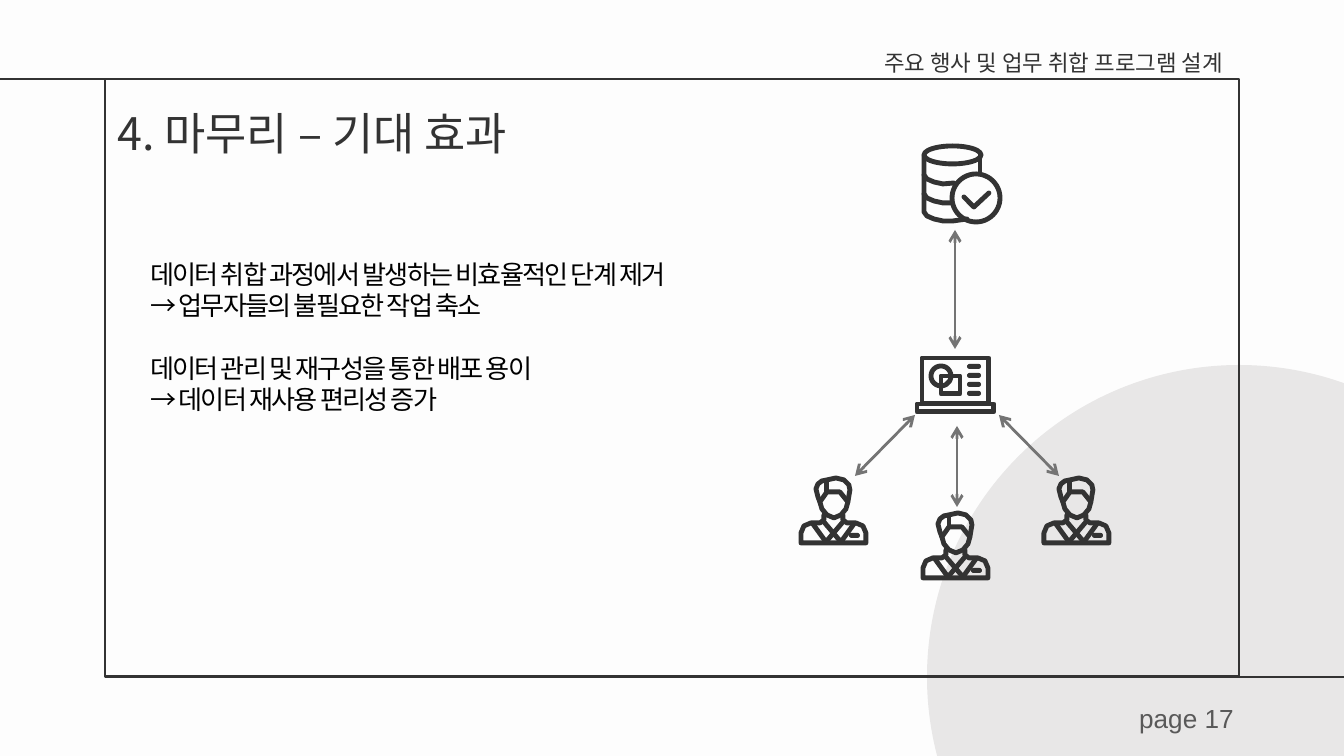
from pptx import Presentation
from pptx.dml.color import RGBColor
from pptx.enum.shapes import MSO_CONNECTOR, MSO_SHAPE
from pptx.oxml.ns import qn
from pptx.util import Pt
from lxml import etree

OVAL, RECT, PILL = MSO_SHAPE.OVAL, MSO_SHAPE.RECTANGLE, MSO_SHAPE.ROUNDED_RECTANGLE
STRAIGHT = MSO_CONNECTOR.STRAIGHT
SLIDE_W, SLIDE_H = 1344, 756
EMU = 9144000 / SLIDE_W  # EMU per px

THEME = {
    "background": RGBColor(0xFD, 0xFD, 0xFD),
    "disc": RGBColor(0xE8, 0xE7, 0xE7),
    "dark": RGBColor(0x33, 0x33, 0x33),
    "arrow": RGBColor(0x74, 0x74, 0x74),
    "body": RGBColor(0, 0, 0),
    "page": RGBColor(0x59, 0x59, 0x59),
    "korean": "Noto Sans CJK KR",
    "latin": "Arial",
    "title_size": 24,
    "body_size": 14,
    "header_size": 12,
    "thin": 1.5,
    "icon": 2.6,
}

prs = Presentation()
prs.slide_width, prs.slide_height = round(SLIDE_W * EMU), round(SLIDE_H * EMU)
slide = prs.slides.add_slide(prs.slide_layouts[6])
slide.background.fill.solid()
slide.background.fill.fore_color.rgb = THEME["background"]
shapes = slide.shapes


def add_text(lines, box, size, color, font=THEME["korean"], inset_y=13,
             line_spacing=None, tracking=0, wrap=True, gaps=()):
    frame = shapes.add_textbox(*[round(v * EMU) for v in box]).text_frame
    frame.word_wrap = wrap
    frame.margin_left = frame.margin_right = round(13.44 * EMU)
    frame.margin_top = frame.margin_bottom = round(inset_y * EMU)
    for i, line in enumerate(lines):
        paragraph = frame.paragraphs[0] if i == 0 else frame.add_paragraph()
        if line_spacing:
            paragraph.line_spacing = line_spacing
        if i in gaps:
            paragraph.space_before = Pt(size * 1.2)
        run = paragraph.add_run()
        run.text = line
        run.font.size = Pt(size)
        run.font.name = font
        run.font.color.rgb = color
        if tracking:
            run.font._element.set("spc", str(tracking * 100))


def stroke(shape, color=THEME["dark"], width=THEME["icon"], arrows=False):
    shape.line.color.rgb = color
    shape.line.width = Pt(width)
    props = shape._element.spPr
    line = props.find(qn("a:ln"))
    line.set("cap", "rnd")
    etree.SubElement(line, qn("a:round"))
    if arrows:
        for end in ("a:headEnd", "a:tailEnd"):
            etree.SubElement(line, qn(end)).set("type", "arrow")
    if hasattr(shape, "fill"):
        shape.fill.background()
    etree.SubElement(props, qn("a:effectLst"))


# Background disc
disc = shapes.add_shape(OVAL, *[round(v * EMU) for v in (927, 365, 624, 624)])
disc.fill.solid()
disc.fill.fore_color.rgb = THEME["disc"]
disc.line.fill.background()
disc.shadow.inherit = False

# Frame and its two extensions
frame_box = shapes.add_shape(RECT, *[round(v * EMU) for v in (105, 79, 1134, 598)])
stroke(frame_box, width=THEME["thin"])
for ends in ((1235, 677, 1379, 677), (106, 79, -11, 79)):
    stroke(shapes.add_connector(STRAIGHT, *[round(v * EMU) for v in ends]),
           width=THEME["thin"])

# Texts
add_text(["4. 마무리 – 기대 효과"], (104, 85, 622, 82), THEME["title_size"],
         THEME["dark"], line_spacing=1.15)
add_text(["데이터 취합 과정에서 발생하는 비효율적인 단계 제거",
          "→ 업무자들의 불필요한 작업 축소",
          "데이터 관리 및 재구성을 통한 배포 용이",
          "→ 데이터 재사용 편리성 증가"],
         (137, 251, 610, 172), THEME["body_size"], THEME["body"],
         inset_y=7, tracking=-1, gaps=(2,))
add_text(["page 17"], (1126, 695, 122, 46), THEME["body_size"], THEME["page"],
         font=THEME["latin"], inset_y=7, wrap=False)
add_text(["주요 행사 및 업무 취합 프로그램 설계"], (871, 32, 382, 43),
         THEME["header_size"], THEME["dark"], line_spacing=1.15)

# Icon outlines: person strokes are relative to the icon's corner
PERSON = [
    # neck, shoulders and chest
    [(26, 39), (26, 44), (22, 47), (13, 47), (6, 50), (3, 57), (3, 67),
     (68, 67), (68, 57), (65, 50), (58, 47), (49, 47), (45, 44), (45, 39)],
    # crossed collar
    [(26, 46), (43, 66), (56, 48)],
    [(45, 46), (28, 66), (15, 48)],
    # face
    [(22, 26), (29, 16), (42, 16), (50, 26), (48, 33), (43, 39), (36, 42),
     (29, 39), (24, 33), (22, 26)],
    # hair and parting
    [(22, 26), (20, 21), (18, 13), (20, 8), (24, 5), (29, 4), (38, 2), (46, 4),
     (51, 9), (52, 14), (50, 26)],
    [(29, 5), (29, 16)],
]
DATABASE = [
    [(980, 172), (980, 155)],
    [(924, 155), (924, 212), (927, 216), (934, 219), (943, 221), (953, 221),
     (967, 219)],
    [(924, 175), (927, 179), (934, 182), (943, 184), (954, 183)],
    [(924, 194), (927, 198), (934, 201), (943, 203), (951, 203)],
]
CHECK = [[(964, 197), (974, 207), (989, 193)]]
people = [(798, 476), (920, 511), (1041, 476)]
icons = [(0, 0, DATABASE), (0, 0, CHECK)]
icons += [(left, top, PERSON) for left, top in people]
for left, top, parts in icons:
    builder = None
    for part in parts:
        points = [(left + x, top + y) for x, y in part]
        if builder is None:
            builder = shapes.build_freeform(*points[0], scale=EMU)
        else:
            builder.move_to(*points[0])
        builder.add_line_segments(points[1:], close=points[0] == points[-1])
    stroke(builder.convert_to_shape())

# Database lid and check badge, laptop screen, base and on-screen figures
for kind, box in (
    (OVAL, (924, 146, 57, 18)),
    (OVAL, (952, 174, 48, 48)),
    (RECT, (922, 358, 67, 46)),
    (RECT, (917, 404, 77, 8)),
    (OVAL, (931, 366, 20, 20)),
    (RECT, (941, 376, 19, 18)),
):
    stroke(shapes.add_shape(kind, *[round(v * EMU) for v in box]))

# Laptop text bars and name badges
bars = [(967, 364 + 9 * row, 14, 5) for row in range(4)]
bars += [(left + 51, top + 57, 11, 5) for left, top in people]
for box in bars:
    bar = shapes.add_shape(PILL, *[round(v * EMU) for v in box])
    bar.adjustments[0] = 0.5
    bar.fill.solid()
    bar.fill.fore_color.rgb = THEME["dark"]
    bar.line.fill.background()
    bar.shadow.inherit = False

# Two-way arrows
for ends in ((855, 476, 915, 415), (957, 507, 957, 426),
             (1059, 476, 999, 415), (955, 349, 955, 230)):
    stroke(shapes.add_connector(STRAIGHT, *[round(v * EMU) for v in ends]),
           THEME["arrow"], THEME["thin"], arrows=True)

prs.save("out.pptx")
